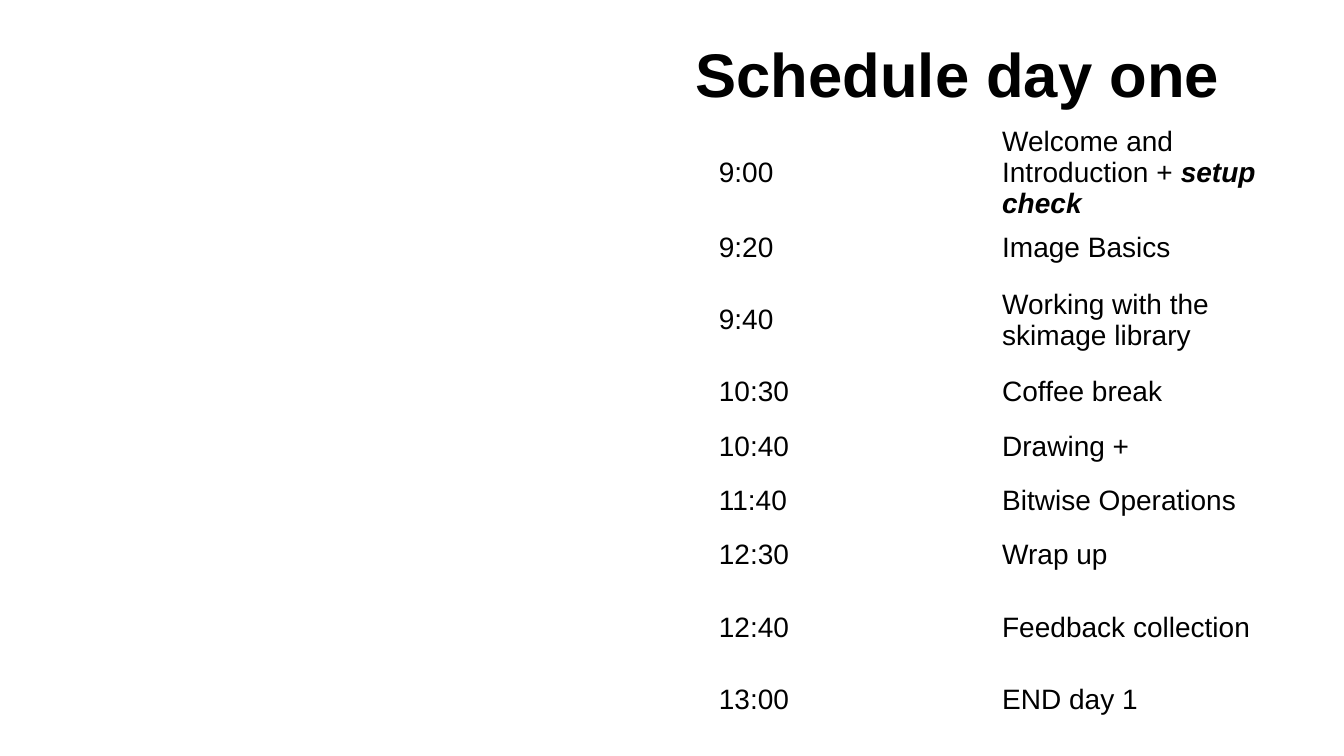
from pptx import Presentation
from pptx.dml.color import RGBColor
from pptx.enum.text import MSO_ANCHOR, MSO_AUTO_SIZE, PP_ALIGN
from pptx.util import Inches, Pt

TITLE = "Schedule day one"
TALL, SHORT = 0.89, 0.54

# time, activity, emphasised ending, row height in inches
SCHEDULE = [
    ("9:00", "Welcome and Introduction + ", "setup check", TALL),
    ("9:20", "Image Basics", "", SHORT),
    ("9:40", "Working with the skimage library", "", TALL),
    ("10:30", "Coffee break", "", SHORT),
    ("10:40", "Drawing +", "", SHORT),
    ("11:40", "Bitwise Operations", "", SHORT),
    ("12:30", "Wrap up", "", SHORT),
    ("12:40", "Feedback collection", "", TALL),
    ("13:00", "END day 1", "", SHORT),
]
COLUMN_WIDTH = 2.81


def color(hex_code):
    return RGBColor.from_string(hex_code)


def add_text(paragraph, text, size=20, bold=False, italic=False, fill="000000"):
    run = paragraph.add_run()
    run.text = text
    font = run.font
    font.name, font.size = "Arial", Pt(size)
    font.bold, font.italic = bold, italic
    font.color.rgb = color(fill)


def add_title(slide):
    title = slide.shapes.title
    title.left, title.top = Inches(6.8), Inches(0.27)
    title.width, title.height = Inches(6.2), Inches(0.9)
    frame = title.text_frame
    frame.auto_size = MSO_AUTO_SIZE.NONE
    frame.vertical_anchor = MSO_ANCHOR.MIDDLE
    paragraph = frame.paragraphs[0]
    paragraph.alignment = PP_ALIGN.LEFT
    add_text(paragraph, TITLE, size=44, bold=True)


def format_cell(cell):
    cell.fill.background()
    cell.vertical_anchor = MSO_ANCHOR.MIDDLE
    cell.margin_left = cell.margin_right = Inches(0.02)
    cell.margin_top = cell.margin_bottom = Inches(0.01)


def add_schedule(slide):
    total_height = sum(entry[-1] for entry in SCHEDULE)
    table = slide.shapes.add_table(
        len(SCHEDULE), 2, Inches(7.11), Inches(1.24),
        Inches(2 * COLUMN_WIDTH), Inches(total_height)).table
    table.first_row = table.horz_banding = False
    for column in table.columns:
        column.width = Inches(COLUMN_WIDTH)
    for row, (time, activity, emphasis, height) in zip(table.rows, SCHEDULE):
        row.height = Inches(height)
        for cell, text in zip(row.cells, (time, activity)):
            format_cell(cell)
            add_text(cell.text_frame.paragraphs[0], text)
        if emphasis:
            add_text(row.cells[1].text_frame.paragraphs[0], emphasis,
                     bold=True, italic=True)


def main():
    presentation = Presentation()
    presentation.slide_width = Inches(13.33)
    presentation.slide_height = Inches(7.5)
    slide = presentation.slides.add_slide(presentation.slide_layouts[5])
    add_title(slide)
    add_schedule(slide)
    presentation.save("out.pptx")


if __name__ == "__main__":
    main()
